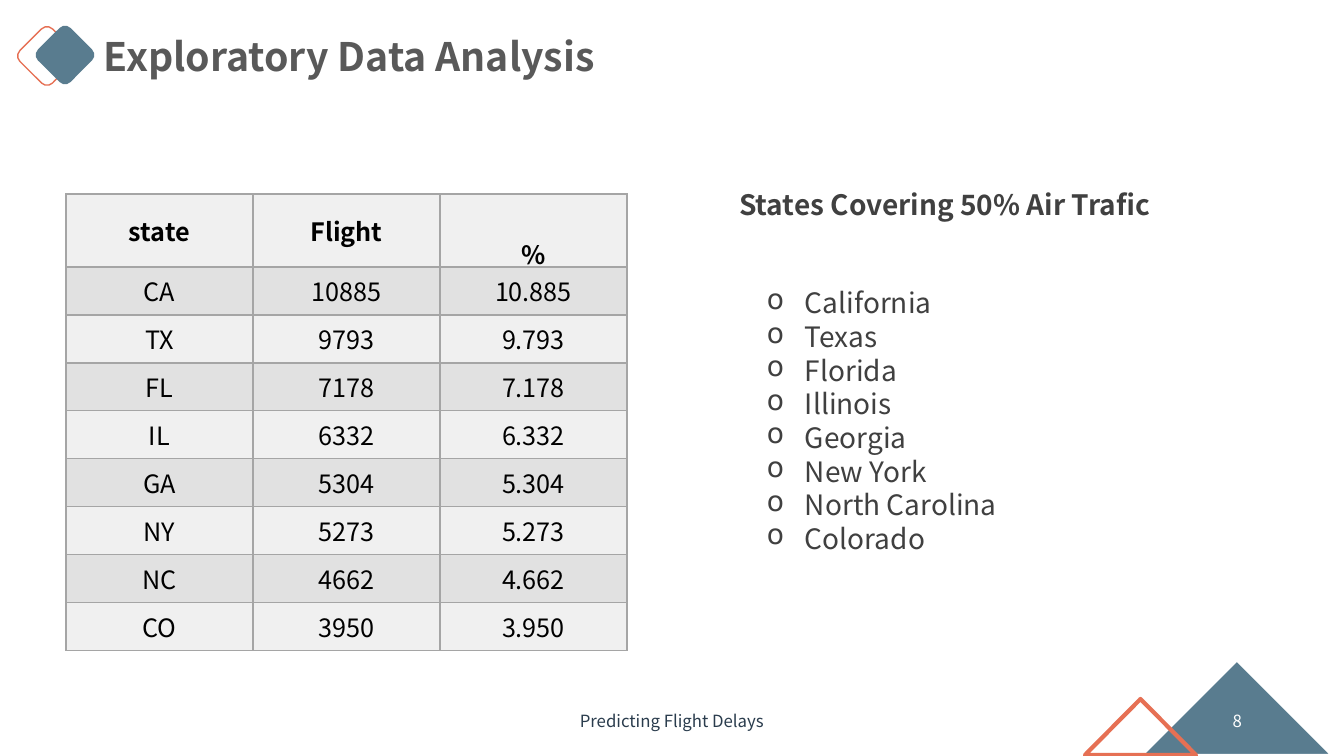
from lxml.etree import SubElement
from pptx import Presentation
from pptx.dml.color import RGBColor
from pptx.enum.shapes import MSO_SHAPE
from pptx.enum.text import MSO_ANCHOR, PP_ALIGN
from pptx.oxml.ns import qn
from pptx.util import Emu, Pt

SCALE = 914400 / 100.8  # EMU in one px
FONT = "Noto Sans CJK SC"
WHITE = RGBColor(0xFF, 0xFF, 0xFF)
BLACK = RGBColor(0x00, 0x00, 0x00)
GRAY = RGBColor(0x59, 0x59, 0x59)
DARK = RGBColor(0x40, 0x40, 0x40)
NAVY = RGBColor(0x2A, 0x3C, 0x4D)
STEEL = RGBColor(0x59, 0x7C, 0x8F)
CORAL = RGBColor(0xE6, 0x70, 0x54)
BORDER = RGBColor(0xA5, 0xA5, 0xA5)
LIGHT = RGBColor(0xF0, 0xF0, 0xF0)
BAND = RGBColor(0xE1, 0xE1, 0xE1)

FLIGHTS = [
    ("state", "Flight", "%"),
    ("CA", "10885", "10.885"),
    ("TX", "9793", "9.793"),
    ("FL", "7178", "7.178"),
    ("IL", "6332", "6.332"),
    ("GA", "5304", "5.304"),
    ("NY", "5273", "5.273"),
    ("NC", "4662", "4.662"),
    ("CO", "3950", "3.950"),
]
STATES = ["California", "Texas", "Florida", "Illinois", "Georgia",
          "New York", "North Carolina", "Colorado"]


def px(num):
    return Emu(round(num * SCALE))


class Deck:
    def __init__(self, width, height):
        self.prs = Presentation()
        self.prs.slide_width = px(width)
        self.prs.slide_height = px(height)
        self.slide = self.prs.slides.add_slide(self.prs.slide_layouts[6])
        self.shapes = self.slide.shapes

    def style(self, para, size, color, bold=False, align=PP_ALIGN.LEFT):
        para.alignment = align
        font = para.font
        font.name, font.size, font.bold = FONT, Pt(size), bold
        font.color.rgb = color

    def shape(self, kind, box, fill=None, line=None, weight=1, turn=0):
        item = self.shapes.add_shape(kind, *map(px, box))
        item.shadow.inherit = False
        item.rotation = turn
        if fill is None:
            item.fill.background()
        else:
            item.fill.solid()
            item.fill.fore_color.rgb = fill
        if line is None:
            item.line.fill.background()
        else:
            item.line.color.rgb = line
            item.line.width = Pt(weight)

    def text(self, box, lines, size, color, bold=False, align=PP_ALIGN.LEFT,
             anchor=MSO_ANCHOR.TOP, space=None, bullet=None):
        frame = self.shapes.add_textbox(*map(px, box)).text_frame
        frame.word_wrap = True
        frame.vertical_anchor = anchor
        frame.text = "\n".join(lines)
        for para in frame.paragraphs:
            self.style(para, size, color, bold, align)
            para.line_spacing = space
            if bullet:
                self.bullet(para, bullet)

    def bullet(self, para, char):
        props = para._p.get_or_add_pPr()
        props.set("marL", str(px(38)))
        props.set("indent", str(-px(38)))
        SubElement(props, qn("a:buChar"), char=char)

    def border(self, cell):
        props = cell._tc.get_or_add_tcPr()
        for side in ("L", "R", "T", "B"):
            line = SubElement(props, qn(f"a:ln{side}"), w=str(Pt(1)))
            fill = SubElement(line, qn("a:solidFill"))
            SubElement(fill, qn("a:srgbClr"), val=str(BORDER))

    def table(self, left, top, data, width, head, body):
        rows, cols = len(data), len(data[0])
        box = (left, top, width * cols, head + body * (rows - 1))
        grid = self.shapes.add_table(rows, cols, *map(px, box)).table
        grid.first_row = grid.horz_banding = False
        for col in grid.columns:
            col.width = px(width)
        for r, values in enumerate(data):
            grid.rows[r].height = px(body if r else head)
            for c, value in enumerate(values):
                cell = grid.cell(r, c)
                cell.text = value
                cell.vertical_anchor = MSO_ANCHOR.MIDDLE
                self.border(cell)
                cell.fill.solid()
                cell.fill.fore_color.rgb = BAND if r % 2 else LIGHT
                self.style(cell.text_frame.paragraphs[0], 18, BLACK,
                           r == 0, PP_ALIGN.CENTER)
        return grid


def main():
    deck = Deck(1344, 756)

    # Title with its two diamonds
    deck.shape(MSO_SHAPE.ROUNDED_RECTANGLE, (24, 33, 46, 46),
               line=CORAL, turn=45)
    deck.shape(MSO_SHAPE.ROUNDED_RECTANGLE, (42, 32, 46, 46),
               fill=STEEL, turn=45)
    deck.text((94, 27, 533, 57), ["Exploratory Data Analysis"], 28, GRAY, True)

    # Corner triangles
    deck.shape(MSO_SHAPE.ISOSCELES_TRIANGLE, (1140, 659, 194, 97),
               fill=STEEL, line=WHITE, weight=3)
    deck.shape(MSO_SHAPE.ISOSCELES_TRIANGLE, (1085, 699, 111, 56),
               line=CORAL, weight=3)

    # Footer and page number
    deck.text((445, 701, 454, 40), ["Predicting Flight Delays"], 12, NAVY,
              align=PP_ALIGN.CENTER, anchor=MSO_ANCHOR.MIDDLE)
    deck.text((950, 701, 302, 40), ["8"], 12, WHITE,
              align=PP_ALIGN.RIGHT, anchor=MSO_ANCHOR.MIDDLE)

    # Flights per state; the percent heading sits low in its cell
    grid = deck.table(66, 194, FLIGHTS, 187, 73, 48)
    share = grid.cell(0, 2)
    share.vertical_anchor = MSO_ANCHOR.TOP
    share.text_frame.paragraphs[0].line_spacing = 2.0

    # List of states
    deck.text((627, 166, 635, 56), ["States Covering 50% Air Trafic"], 20,
              DARK, True, PP_ALIGN.CENTER, space=1.5)
    deck.text((757, 281, 283, 281), STATES, 20, DARK, bullet="o")

    deck.prs.save("out.pptx")


if __name__ == "__main__":
    main()
